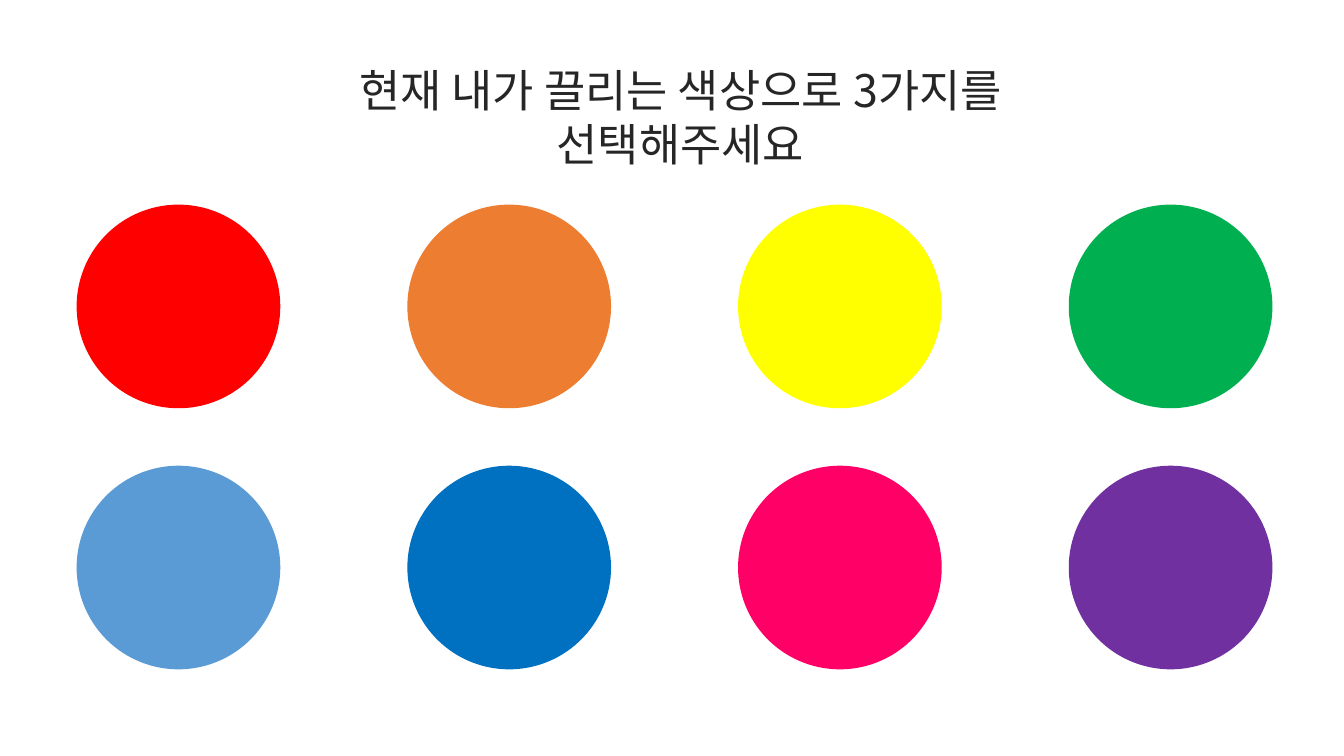
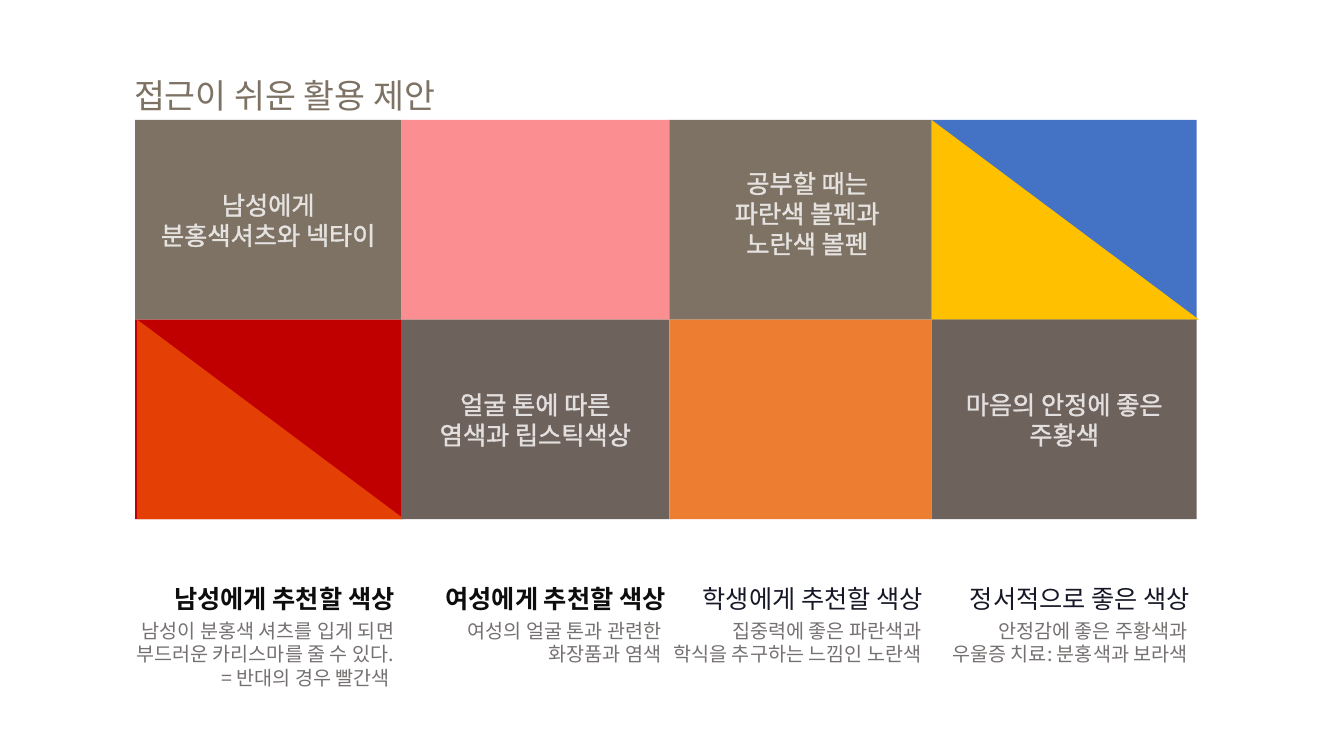
"""Build two slides on choosing and using colours."""
from lxml.etree import SubElement as Sub, Element as Elem
from pptx import Presentation
from pptx.dml.color import RGBColor as Rgb
from pptx.enum.shapes import MSO_SHAPE as Kind
from pptx.enum.text import MSO_ANCHOR as Anchor, MSO_AUTO_SIZE as Fit, PP_ALIGN as Align
from pptx.oxml.ns import qn
from pptx.util import Inches as In, Pt

FONT = "Noto Sans CJK KR"
HUES = {
    "red": "FF0000", "orange": "ED7D31", "yellow": "FFFF00", "green": "00B050",
    "sky": "5B9BD5", "blue": "0070C0", "pink": "FF0066", "purple": "7030A0",
    "taupe": "7D7264", "brown": "6E625C", "rose": "FA8E91", "royal": "4472C4",
    "gold": "FFC000", "crimson": "C00000", "flame": "E44006",
    "white": "FFFFFF", "ink": "262626", "black": "0D0D0D", "navy": "161827",
    "gray": "767171",
}
DOTS = [["red", "orange", "yellow", "green"], ["sky", "blue", "pink", "purple"]]
DOT = {"left": 0.76, "top": 2.03, "col": 3.28, "row": 2.59, "size": 2.02}
EDGES = [1.34, 3.98, 6.64, 9.24, 11.87]
GRID = {"top": 1.19, "row": 1.98, "half": 2.65}
CELLS = [
    [("taupe", None, ["남성에게", "분홍색셔츠와 넥타이"]),
     ("rose", None, []),
     ("taupe", None, ["공부할 때는", "파란색 볼펜과", "노란색 볼펜"], 0.13),
     ("royal", "gold", [])],
    [("crimson", "flame", []),
     ("brown", None, ["얼굴 톤에 따른", "염색과 립스틱색상"]),
     ("orange", None, []),
     ("brown", None, ["마음의 안정에 좋은", "주황색"])],
]
NOTE = {"head": 5.74, "body": 6.09, "wide": 3.21}
NOTES = [
    ("남성에게 추천할 색상", True, 4.01, 4.01, 2.85,
     ["남성이 분홍색 셔츠를 입게 되면", "부드러운 카리스마를 줄 수 있다.", "= 반대의 경우 빨간색 "]),
    ("여성에게 추천할 색상", True, 6.7, 6.66, 2.61,
     ["여성의 얼굴 톤과 관련한", "화장품과 염색"]),
    ("학생에게 추천할 색상", False, 9.25, 9.24, 2.75,
     ["집중력에 좋은 파란색과", "학식을 추구하는 느낌인 노란색"]),
    ("정서적으로 좋은 색상", False, 11.9, 11.88, 2.61,
     ["안정감에 좋은 주황색과", "우울증 치료: 분홍색과 보라색"]),
]


def edge(run, hue, alpha):
    """Give a run a thin, partly clear outline and an East Asian font."""
    props = run._r.get_or_add_rPr()
    props.set("kern", "0")
    line = Elem(qn("a:ln"), w="9525")
    fill = Sub(Sub(line, qn("a:solidFill")), qn("a:srgbClr"), val=HUES[hue])
    Sub(fill, qn("a:alpha"), val=str(alpha * 1000))
    props.insert(0, line)
    props.find(qn("a:latin")).addnext(Elem(qn("a:ea"), typeface=FONT))


def write(frame, lines, size, hue, align, alpha, bold=False, rim=None):
    """Fill a text frame with one styled run per line."""
    frame.word_wrap = True
    for i, line in enumerate(lines):
        para = frame.paragraphs[0] if i == 0 else frame.add_paragraph()
        para.alignment = align
        para.line_spacing = Pt(round(size * 1.2, 1))
        run = para.add_run()
        run.text = line
        run.font.size = Pt(size)
        run.font.name = FONT
        run.font.bold = bold
        run.font.color.rgb = Rgb.from_string(HUES[hue])
        edge(run, rim or hue, alpha)


def title(slide, text, box, size, hue, align):
    """Move and fill the title placeholder."""
    head = slide.shapes.title
    head.left, head.top, head.width, head.height = map(In, box)
    head.text_frame.vertical_anchor = Anchor.TOP
    head.text_frame.auto_size = Fit.NONE
    write(head.text_frame, [text], size, hue, align, 50)


def shape(slide, kind, box, hue):
    """Add a flat shape without line or shadow."""
    form = slide.shapes.add_shape(kind, *map(In, box))
    form.shadow.inherit = False
    form.fill.solid()
    form.fill.fore_color.rgb = Rgb.from_string(HUES[hue])
    form.line.fill.background()
    return form


def label(slide, box, lines, size, hue, alpha, **style):
    """Add a right-aligned text box."""
    frame = slide.shapes.add_textbox(*map(In, box)).text_frame
    write(frame, lines, size, hue, Align.RIGHT, alpha, **style)


def cell(slide, row, col, hue, half, lines, shift=0):
    """Add a grid cell with an optional lower triangle or text."""
    left, top = EDGES[col], GRID["top"] + row * GRID["row"]
    box = (left, top, EDGES[col + 1] - left, GRID["row"])
    form = shape(slide, Kind.RECTANGLE, box, hue)
    if half:
        shape(slide, Kind.RIGHT_TRIANGLE,
              (left + 0.02 * row, top, GRID["half"], GRID["row"]), half)
    if lines:
        frame = form.text_frame
        frame.vertical_anchor = Anchor.MIDDLE
        frame.margin_left = In(0.1 + shift)
        frame.margin_bottom = In(0.05 + shift)
        write(frame, lines, 18, "white", Align.CENTER, 80)


def note(slide, head, bold, right, end, wide, lines):
    """Add a heading and its lines under a grid column."""
    hue, rim = ("black", "taupe") if bold else ("navy", "navy")
    label(slide, (right - NOTE["wide"], NOTE["head"], NOTE["wide"], 0.4), [head],
          18, hue, 50, bold=bold, rim=rim)
    label(slide, (end - wide, NOTE["body"], wide, 0.81), lines, 14, "gray", 30)


def choose(slide):
    """Draw the colour choice slide."""
    title(slide, "현재 내가 끌리는 색상으로 3가지를 선택해주세요",
          (2.25, 0.57, 9, 1.2), 32, "ink", Align.CENTER)
    for row, hues in enumerate(DOTS):
        for col, hue in enumerate(hues):
            box = (DOT["left"] + col * DOT["col"], DOT["top"] + row * DOT["row"],
                   DOT["size"], DOT["size"])
            shape(slide, Kind.FLOWCHART_CONNECTOR, box, hue)


def advise(slide):
    """Draw the colour advice slide."""
    title(slide, "접근이 쉬운 활용 제안", (1.23, 0.69, 3.4, 0.5), 24, "taupe", Align.LEFT)
    for row, cells in enumerate(CELLS):
        for col, item in enumerate(cells):
            cell(slide, row, col, *item)
    for item in NOTES:
        note(slide, *item)


def main():
    """Build and save the deck."""
    deck = Presentation()
    deck.slide_width, deck.slide_height = In(13.33), In(7.5)
    for draw in (choose, advise):
        draw(deck.slides.add_slide(deck.slide_layouts[5]))
    deck.save("out.pptx")


if __name__ == "__main__":
    main()
